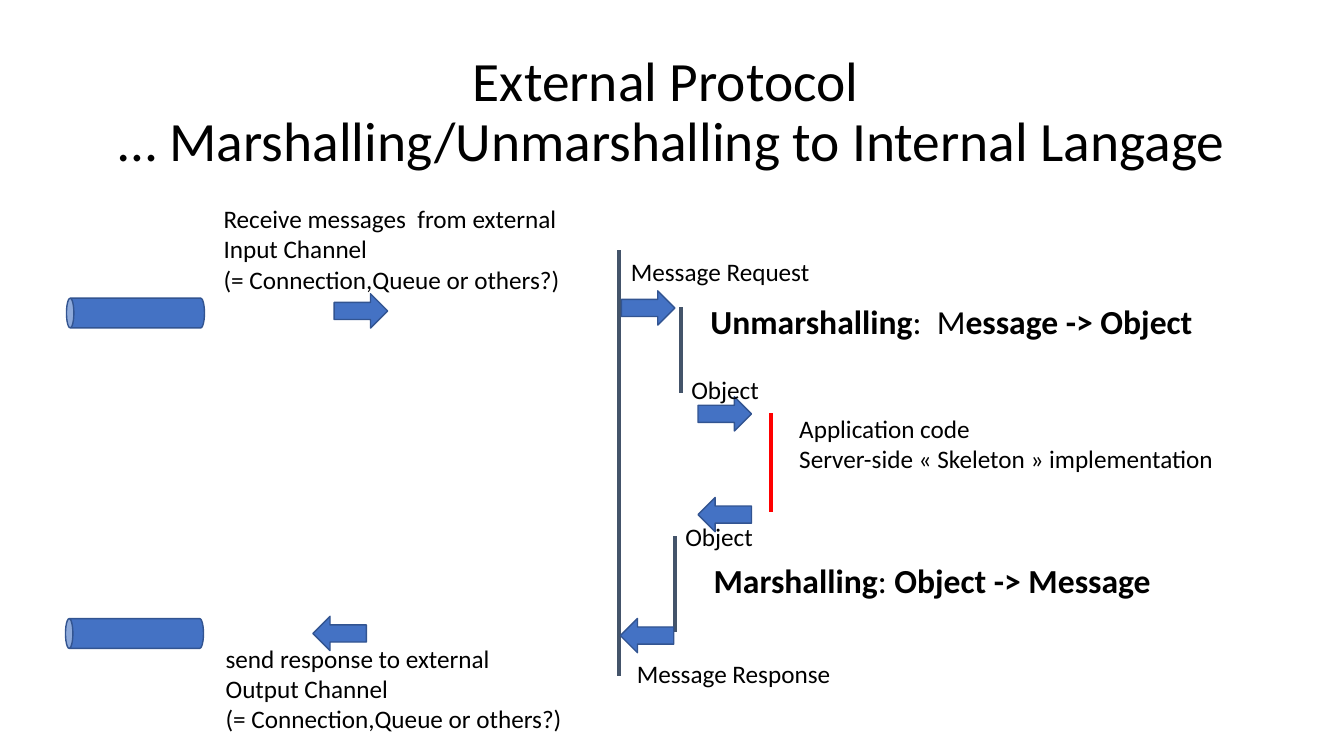
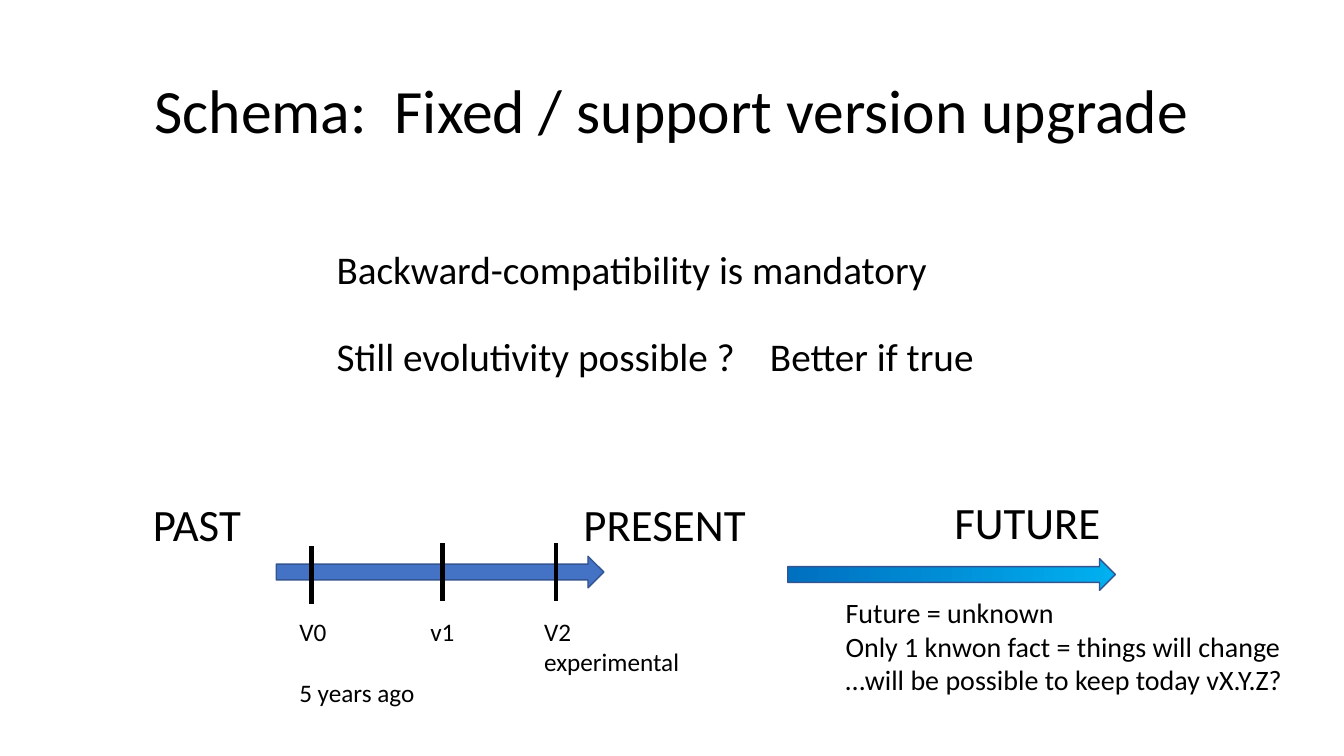
from lxml import etree
from pptx import Presentation
from pptx import util as u
from pptx.dml import color as c
from pptx.enum import shapes as s, text as t
from pptx.oxml import ns

BLACK, BLUE, OUTLINE, SLATE, RED = "000000", "4472C4", "325491", "44546A", "FF0000"
RIGHT, LEFT = s.MSO_SHAPE.RIGHT_ARROW, s.MSO_SHAPE.LEFT_ARROW


def rgb(value):
    return c.RGBColor.from_string(value)


class Board:
    """Shared style and the slide being drawn."""

    font = "Calibri"

    def __init__(self):
        self.deck = Presentation()
        self.deck.slide_width, self.deck.slide_height = u.Pt(960), u.Pt(540)
        self.page = None

    def style(self, font, size, bold=False):
        font.name, font.size, font.bold = self.font, u.Pt(size), bold
        font.color.rgb = rgb(BLACK)

    def new_page(self, heading, size):
        self.page = self.deck.slides.add_slide(self.deck.slide_layouts[5])
        title = self.page.shapes.title
        title.left, title.top = u.Pt(66), u.Pt(28.75)
        title.width, title.height = u.Pt(828), u.Pt(104.4)
        frame = title.text_frame
        frame.text = heading
        frame.auto_size = t.MSO_AUTO_SIZE.NONE
        frame.vertical_anchor = t.MSO_ANCHOR.MIDDLE
        para = frame.paragraphs[0]
        para.alignment, para.line_spacing = t.PP_ALIGN.CENTER, 0.9
        self.style(para.font, size)

    def label(self, x, y, width, height, lines, size=18, wrap=False, gap=0, tab=None):
        """Each line is a string or a list of (text, bold) spans."""
        box = self.page.shapes.add_textbox(u.Pt(x), u.Pt(y), u.Pt(width), u.Pt(height))
        frame = box.text_frame
        frame.word_wrap = wrap
        frame.auto_size = t.MSO_AUTO_SIZE.SHAPE_TO_FIT_TEXT
        for i, line in enumerate(lines):
            para = frame.add_paragraph() if i else frame.paragraphs[0]
            if tab:
                stops = etree.SubElement(para._p.get_or_add_pPr(), ns.qn("a:tabLst"))
                etree.SubElement(stops, ns.qn("a:tab"), pos=str(u.Pt(tab)), algn="l")
            if i and gap:
                para.space_before = u.Pt(gap)
            if isinstance(line, str):
                para.text = line
                self.style(para.font, size)
                continue
            for words, bold in line:
                span = para.add_run()
                span.text = words
                self.style(span.font, size, bold)

    def shape(self, kind, center_x, center_y, width, height, gradient=None):
        item = self.page.shapes.add_shape(
            kind, u.Pt(center_x - width / 2), u.Pt(center_y - height / 2),
            u.Pt(width), u.Pt(height))
        item.shadow.inherit = False
        if gradient:
            item.fill.gradient()
            item.fill.gradient_angle = 0
            for stop, value, place in zip(item.fill.gradient_stops, gradient, (0, 1)):
                stop.color.rgb, stop.position = rgb(value), place
        else:
            item.fill.solid()
            item.fill.fore_color.rgb = rgb(BLUE)
        item.line.color.rgb, item.line.width = rgb(OUTLINE), u.Pt(1)
        return item

    def arrow(self, kind, center_x, center_y, width=38.2):
        self.shape(kind, center_x, center_y, width, 24.5)

    def pipe(self, center_x, center_y):
        self.shape(s.MSO_SHAPE.CAN, center_x, center_y, 21.2, 98.6).rotation = 270

    def bar(self, x, top, bottom, color):
        line = self.page.shapes.add_connector(
            s.MSO_CONNECTOR.STRAIGHT, u.Pt(x), u.Pt(top), u.Pt(x), u.Pt(bottom))
        line.line.color.rgb, line.line.width = rgb(color), u.Pt(3)
        etree.SubElement(line._element.spPr, ns.qn("a:effectLst"))


def protocol_page(board):
    board.new_page("External Protocol \v… Marshalling/Unmarshalling to Internal Langage", 39.6)

    # Lifelines
    for x, top, bottom, color in ((442.1, 178.6, 483.1, SLATE), (550.8, 295.2, 365.8, RED),
                                  (486.7, 219.6, 280.8, SLATE), (482.4, 383, 451.4, SLATE)):
        board.bar(x, top, bottom, color)

    # Channels and message arrows
    for x, y in ((96.8, 223.6), (96.1, 452.5)):
        board.pipe(x, y)
    for kind, x, y in ((RIGHT, 257.8, 222.1), (RIGHT, 463, 220), (RIGHT, 517.7, 295.6),
                       (LEFT, 517.7, 367.6), (LEFT, 462.2, 454), (LEFT, 242.6, 452.5)):
        board.arrow(kind, x, y)

    # Channel captions
    connection = "(= Connection,Queue or others?)"
    board.label(152.6, 141.8, 276.5, 72.7,
                ["Receive messages  from external", "Input Channel", connection], wrap=True)
    board.label(154.1, 455.8, 283, 72.7,
                ["send response to external", "Output Channel", connection], wrap=True)

    # Message and object captions
    for x, y, width, words in ((443.5, 179.3, 143.3, "Message Request"),
                               (486.7, 263.5, 63.4, "Object"),
                               (482.4, 368.6, 63.4, "Object"),
                               (447.8, 466.6, 154.1, "Message Response")):
        board.label(x, y, width, 29.1, [words])

    # Processing steps
    board.label(563.8, 291.6, 313.9, 50.9,
                ["Application code", "Server-side « Skeleton » implementation"])
    board.label(500.4, 211.7, 367.9, 36.4,
                [[("Unmarshalling", True), (":  M", False), ("essage -> Object", True)]], 24)
    board.label(502.6, 396.7, 329.8, 36.4,
                [[("Marshalling", True), (": ", False), ("Object -> Message", True)]], 24)


def schema_page(board):
    board.new_page("Schema:  Fixed / support version upgrade", 44)

    # Statements
    board.label(233.3, 171.4, 440.6, 41.2, ["Backward-compatibility is mandatory"], 28)
    board.label(233.3, 234, 500, 41.2,
                ["Still evolutivity possible ?\tBetter if true"], 28, wrap=True, tab=309.6)

    # Timeline arrows
    board.shape(RIGHT, 314.3, 408.6, 234, 22.6)
    board.shape(RIGHT, 679.7, 410.4, 234, 22.6, gradient=("0070C0", "00B0F0"))
    for x, y, width, era in ((102.2, 351.4, 95, "PAST"), (409.7, 351.4, 137.5, "PRESENT"),
                             (674.6, 350, 137.5, "FUTURE")):
        board.label(x, y, width, 46, [era], 32, wrap=True)

    # Versions
    for x, top, width, height, lines, gap in (
            (222.5, 390.2, 97.9, 72.7, ["V0", "5 years ago"], 22),
            (316.1, 388.1, 31.7, 29.1, ["v1"], 0),
            (397.4, 388.1, 112.3, 50.9, ["V2", "experimental"], 0)):
        board.bar(x, top, top + 41, BLACK)
        board.label(x - 15.8, 436.5, width, height, lines, gap=gap)

    # Outlook
    board.label(596.9, 421.9, 329, 80,
                ["Future = unknown", "Only 1 knwon fact = things will change",
                 "…will be possible to keep today vX.Y.Z?"], 20)


def main():
    board = Board()
    protocol_page(board)
    schema_page(board)
    board.deck.save("out.pptx")


if __name__ == "__main__":
    main()
